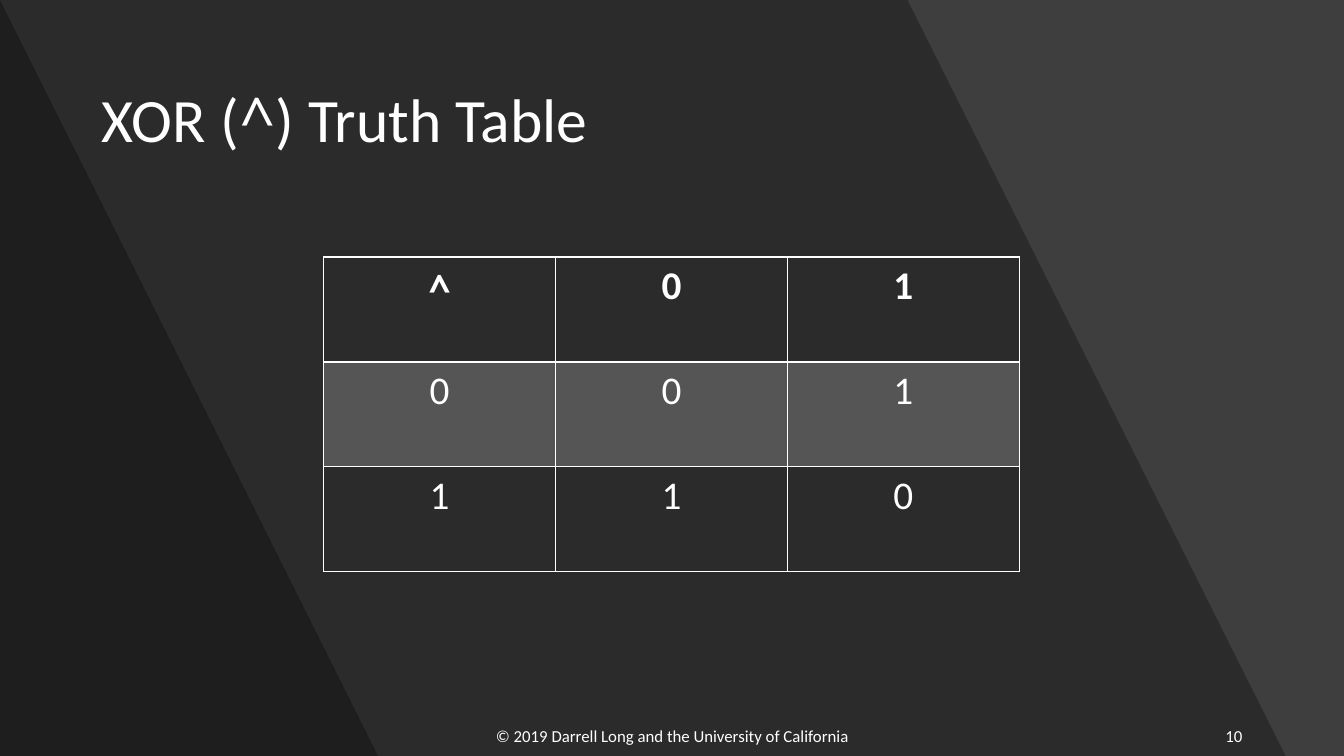
from lxml.etree import SubElement
from pptx import Presentation
from pptx.dml.color import RGBColor
from pptx.enum.shapes import MSO_SHAPE as Shape
from pptx.enum.text import MSO_ANCHOR as Anchor, PP_ALIGN as Align
from pptx.oxml.ns import qn
from pptx.util import Inches, Pt

COLORS = {"background": "454545", "shade": "000000", "light": "FFFFFF"}
TEXT_FONT, MONO_FONT = "Calibri", "Noto Sans Mono"
WIDTH, HEIGHT = 13.33, 7.5


def font_for(text):
    return MONO_FONT if text == "^" else TEXT_FONT


class SlideBuilder:
    def __init__(self, slide):
        self.slide = slide
        self.shapes = slide.shapes

    def color(self, name):
        return RGBColor.from_string(COLORS[name])

    def background(self, name):
        fill = self.slide.background.fill
        fill.solid()
        fill.fore_color.rgb = self.color(name)

    def tint(self, fill, properties, name, opacity):
        """Fill with a colour that is opaque to the given percentage."""
        fill.solid()
        fill.fore_color.rgb = self.color(name)
        color = properties.find(f"{qn('a:solidFill')}/{qn('a:srgbClr')}")
        SubElement(color, qn("a:alpha"), val=str(opacity * 1000))

    def shade(self, shape, opacity):
        shape.shadow.inherit = False
        shape.line.fill.background()
        self.tint(shape.fill, shape._element.spPr, "shade", opacity)

    def veil(self, opacity):
        veil = self.shapes.add_shape(
            Shape.RECTANGLE, 0, 0, Inches(WIDTH), Inches(HEIGHT))
        self.shade(veil, opacity)

    def slanted_panel(self, top_width, bottom_width, opacity):
        outline = self.shapes.build_freeform(0, 0, scale=Inches(1))
        outline.add_line_segments(
            [(top_width, 0), (bottom_width, HEIGHT), (0, HEIGHT)], close=True)
        self.shade(outline.convert_to_shape(), opacity)

    def fill_paragraph(self, paragraph, parts, size, align, bold=False):
        paragraph.alignment = align
        font = paragraph.font
        font.size, font.bold = Pt(size), bold
        font.color.rgb = self.color("light")
        fonts = {font_for(part) for part in parts}
        if len(fonts) == 1:
            font.name = fonts.pop()
        for part in parts:
            run = paragraph.add_run()
            run.text = part
            if font.name is None:
                run.font.name = font_for(part)

    def text(self, box, parts, size, align=Align.LEFT, spacing=None):
        frame = self.shapes.add_textbox(*map(Inches, box)).text_frame
        frame.word_wrap = True
        frame.vertical_anchor = Anchor.MIDDLE
        paragraph = frame.paragraphs[0]
        paragraph.line_spacing = spacing
        self.fill_paragraph(paragraph, parts, size, align)

    def borders(self, properties, widths):
        for side, width in widths.items():
            line = SubElement(properties, qn(f"a:ln{side}"), w=str(Pt(width)))
            fill = SubElement(line, qn("a:solidFill"))
            SubElement(fill, qn("a:srgbClr"), val=COLORS["light"])

    def truth_table(self, left, top, column_width, row_height, rows):
        columns = len(rows[0])
        table = self.shapes.add_table(
            len(rows), columns, Inches(left), Inches(top),
            Inches(column_width * columns),
            Inches(row_height * len(rows))).table
        table.first_row = table.horz_banding = False
        for column in table.columns:
            column.width = Inches(column_width)
        for r, values in enumerate(rows):
            table.rows[r].height = Inches(row_height)
            for c, value in enumerate(values):
                cell = table.cell(r, c)
                self.fill_paragraph(cell.text_frame.paragraphs[0], [value],
                                    28, Align.CENTER, bold=r == 0)
                properties = cell._tc.get_or_add_tcPr()
                # The rule under the header is heavier
                self.borders(properties, {
                    "L": 1, "R": 1,
                    "T": 2 if r == 1 else 1, "B": 2 if r == 0 else 1})
                if r % 2:
                    self.tint(cell.fill, properties, "light", 20)
                else:
                    cell.fill.background()


def main():
    deck = Presentation()
    deck.slide_width, deck.slide_height = Inches(WIDTH), Inches(HEIGHT)
    builder = SlideBuilder(deck.slides.add_slide(deck.slide_layouts[6]))

    # Layered backdrop
    builder.background("background")
    builder.veil(9)
    builder.slanted_panel(9.42, 12.89, 30)
    builder.slanted_panel(0.44, 3.92, 30)

    # Title
    builder.text((0.91, 0.49, 11.51, 1.45), ["XOR (", "^", ") Truth Table"],
                 44, spacing=0.9)

    # Footer and page number
    builder.text((4.42, 7.1, 4.5, 0.4),
                 ["© 2019 Darrell Long and the University of California"],
                 12, Align.CENTER)
    builder.text((9.42, 7.1, 3, 0.4), ["10"], 12, Align.RIGHT)

    # Truth table: each result is the XOR of its row and column headings
    bits = (0, 1)
    header = ["^", *map(str, bits)]
    results = [[str(a), *(str(a ^ b) for b in bits)] for a in bits]
    builder.truth_table(3.21, 2.55, 2.3, 1.04, [header, *results])

    deck.save("out.pptx")


if __name__ == "__main__":
    main()
